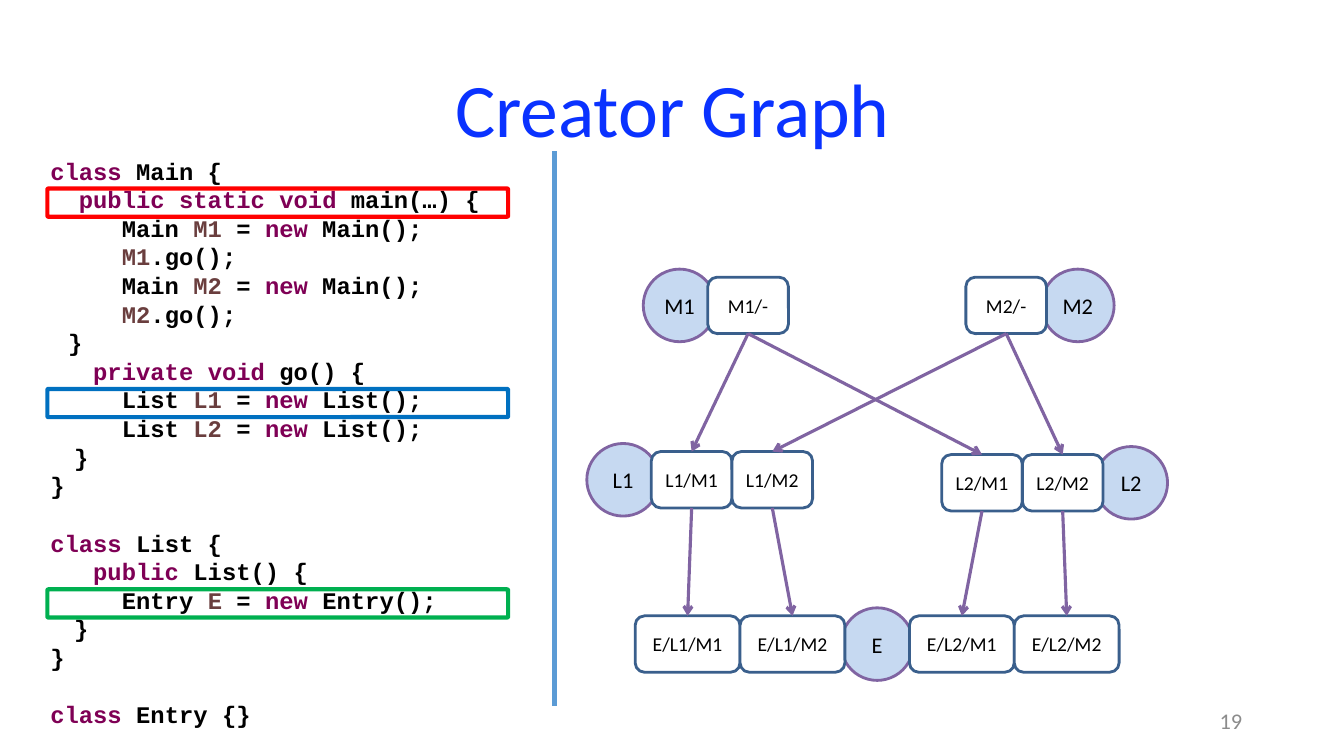
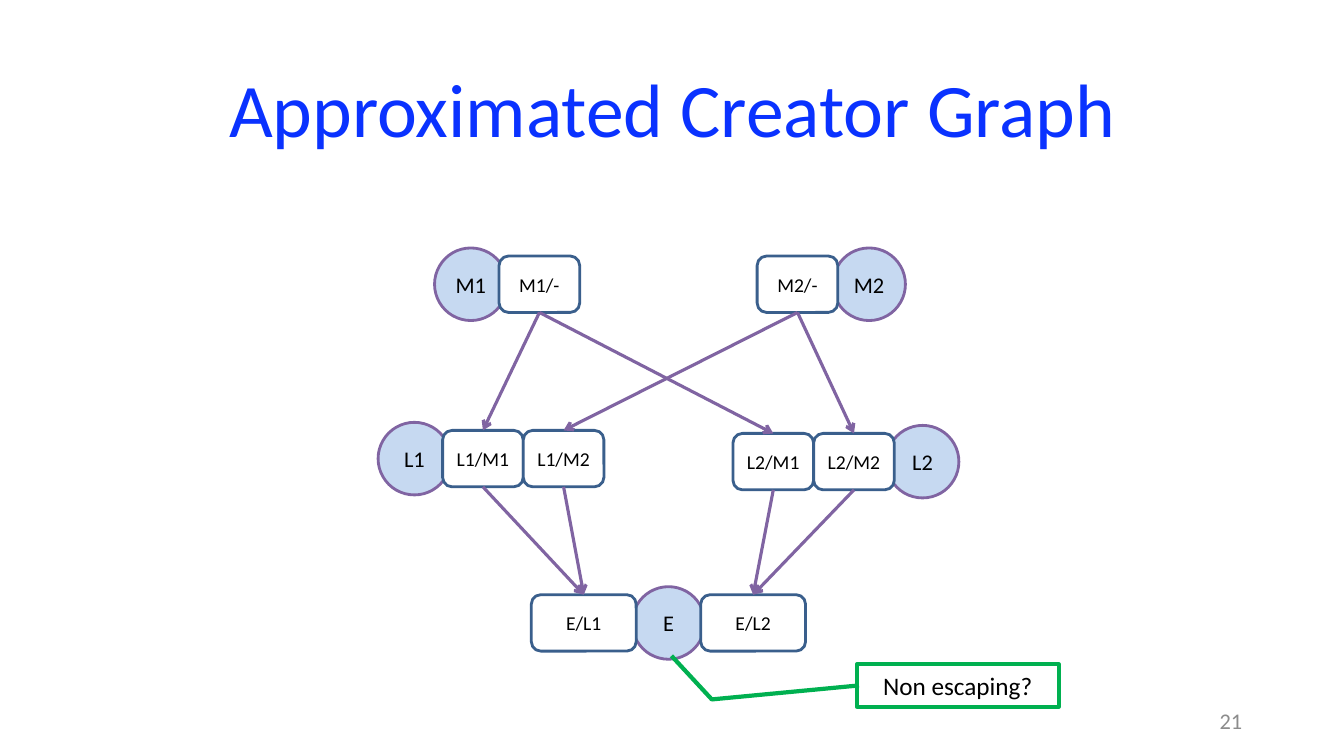
from itertools import groupby

from lxml import etree
from pptx import Presentation
from pptx.dml.color import RGBColor
from pptx.enum import shapes, text
from pptx.oxml import ns
from pptx.util import Inches, Pt

# Shared look
COLORS = {
    "title": "0A32FF", "number": "8C8C8C", "black": "000000", "white": "FFFFFF",
    "divider": "5B9BD5", "object": "C6D9F1", "edge": "8064A2", "context": "3A5F8C",
    "keyword": "7F0055", "variable": "6A3E3E",
    "red": "FF0000", "blue": "0070C0", "green": "00B050",
}
SHAPE, ALIGN, ANCHOR = shapes.MSO_SHAPE, text.PP_ALIGN, text.MSO_ANCHOR

# Code listing
CODE = """class Main {
  public static void main(…) {
     Main M1 = new Main();
     M1.go();
     Main M2 = new Main();
     M2.go();
   }
   private void go() {
     List L1 = new List();
     List L2 = new List();
    }
}

class List {
   public List() {
     Entry E = new Entry();
    }
}

class Entry {}""".split("\n")
WORD_COLORS = {w: "keyword" for w in "class public static void private new".split()}
WORD_COLORS.update({w: "variable" for w in "M1 M2 L1 L2 E".split()})
CODE_PITCH = 20.45  # points from line to line
HIGHLIGHTS = {1: "red", 8: "blue", 15: "green"}  # code line: colour

# Graph: object, left, top, side of its contexts (1 = right), overlap, contexts
OBJECTS = [
    ("M1", 0.56, 0, 1, 0.08, ["M1/-"]),
    ("M2", 4.51, 0, -1, 0.05, ["M2/-"]),
    ("L1", 0, 1.73, 1, 0.08, ["L1/M1", "L1/M2"]),
    ("L2", 5.04, 1.76, -1, 0.08, ["L2/M1", "L2/M2"]),
]
ENTRY = ("E", 2.52, 3.36)
ENTRY_OVERLAP = 0.04
CALLS = [("M1/-", "L1/M1"), ("M2/-", "L2/M2"), ("M2/-", "L1/M2"), ("M1/-", "L2/M1")]
LISTS = ["L1/M2", "L1/M1", "L2/M2", "L2/M1"]
DIAMETER, BOX_H, BOX_W, WIDE_BOX_W = 0.72, 0.56, 0.8, 1.04

SLIDES = [
    dict(title="Creator Graph", number="19", origin=(5.82, 2.67), depth=2, code=True),
    dict(title="Approximated Creator Graph", number="21", origin=(3.75, 2.46), depth=1,
         callout="Non escaping?"),
]


def rgb(name):
    return RGBColor.from_string(COLORS[name])


def inches(*values):
    return [Inches(v) for v in values]


def add_run(p, words, size, color="black", font="Calibri", bold=False):
    r = p.add_run()
    r.text = words
    r.font.size, r.font.name, r.font.bold = Pt(size), font, bold
    r.font.color.rgb = rgb(color)


def write(sp, words, size, color="black", align=ALIGN.CENTER, spacing=1.0):
    tf = sp.text_frame
    tf.word_wrap = True
    tf.vertical_anchor = ANCHOR.MIDDLE
    p = tf.paragraphs[0]
    p.alignment, p.line_spacing = align, spacing
    add_run(p, words, size, color)


def add_label(slide, words, at, size, **kw):
    write(slide.shapes.add_textbox(*inches(*at)), words, size, **kw)


def add_box(slide, kind, at, line, width, fill=None, words=None, size=14):
    sp = slide.shapes.add_shape(kind, *inches(*at))
    sp.shadow.inherit = False
    if fill:
        sp.fill.solid()
        sp.fill.fore_color.rgb = rgb(fill)
    else:
        sp.fill.background()
    sp.line.color.rgb, sp.line.width = rgb(line), Pt(width)
    if words:
        tf = sp.text_frame
        tf.margin_left = tf.margin_right = tf.margin_top = tf.margin_bottom = 0
        write(sp, words, size)
    return sp


def add_line(slide, color, width, ends=(0, 0, 0, 0), arrow=False):
    cn = slide.shapes.add_connector(shapes.MSO_CONNECTOR.STRAIGHT, *inches(*ends))
    cn.line.color.rgb, cn.line.width = rgb(color), Pt(width)
    if arrow:
        ln = cn.line._get_or_add_ln()
        etree.SubElement(ln, ns.qn("a:tailEnd"), type="arrow")
    etree.SubElement(cn._element.spPr, ns.qn("a:effectLst"))
    return cn


def add_code(slide):
    tf = slide.shapes.add_textbox(*inches(0.4, 1.37, 5.52, 5.97)).text_frame
    tf.word_wrap = True
    tf.margin_top = Inches(0.18)
    p, gap = tf.paragraphs[0], 0
    for i, line in enumerate(CODE):
        if not line:
            gap += CODE_PITCH
            continue
        if i:
            p = tf.add_paragraph()
        p.line_spacing, p.space_before = Pt(CODE_PITCH), Pt(gap)
        gap = 0
        closing = line.strip() == "}"
        for _, chars in groupby(line, key=lambda c: (c.isalnum(), c.isspace())):
            word = "".join(chars)
            # Closing braces have a narrower indent
            font = "Times New Roman" if closing and word.isspace() else "Courier New"
            add_run(p, word, 17, WORD_COLORS.get(word, "black"), font, bold=True)
    # Each highlight fits between the neighbouring code lines
    for row, color in HIGHLIGHTS.items():
        at = (0.47, 1.87 + (row - 1) * CODE_PITCH / 72, 4.57, 0.28)
        add_box(slide, SHAPE.ROUNDED_RECTANGLE, at, color, 3).adjustments[0] = 0.04
    add_line(slide, "divider", 3, (5.5, 1.5, 5.5, 7))


def add_graph(slide, origin, depth):
    x0, y0 = origin
    boxes = {}

    def add_object(name, x, y):
        add_box(slide, SHAPE.OVAL, (x0 + x, y0 + y, DIAMETER, DIAMETER), "edge", 2,
                "object", name, 16)

    def add_contexts(x, y, side, overlap, names, w):
        left = x + DIAMETER - overlap if side > 0 else x + overlap - w * len(names)
        top = y0 + y + (DIAMETER - BOX_H) / 2
        for i, name in enumerate(names):
            boxes[name] = add_box(slide, SHAPE.ROUNDED_RECTANGLE,
                                  (x0 + left + i * w, top, w, BOX_H),
                                  "context", 2, "white", name)

    def entry_of(name):
        return "/".join(["E"] + name.split("/")[:depth])

    for name, x, y, side, overlap, contexts in OBJECTS:
        add_object(name, x, y)
        add_contexts(x, y, side, overlap, contexts, BOX_W)

    # Entry contexts sit on both sides; depth says how many creators they keep
    add_object(*ENTRY)
    for side, owner in ((1, "L2"), (-1, "L1")):
        names = sorted({entry_of(n) for n in LISTS if n.startswith(owner)})
        add_contexts(*ENTRY[1:], side, ENTRY_OVERLAP, names, WIDE_BOX_W)

    for start, end in CALLS + [(n, entry_of(n)) for n in LISTS]:
        cn = add_line(slide, "edge", 2.25, arrow=True)
        cn.begin_connect(boxes[start], 2)
        cn.end_connect(boxes[end], 0)


def add_callout(slide, words):
    sp = add_box(slide, SHAPE.LINE_CALLOUT_2, (8.5, 6.59, 2, 0.42), "green", 3,
                 words=words, size=18)
    for i, value in enumerate((0.5, 0.01, 0.83, -0.72, -0.2, -0.92)):
        sp.adjustments[i] = value


def main():
    prs = Presentation()
    prs.slide_width, prs.slide_height = inches(13.33, 7.5)
    for page in SLIDES:
        slide = prs.slides.add_slide(prs.slide_layouts[6])
        add_label(slide, page["number"], (9.42, 6.95, 3, 0.4), 16,
                  color="number", align=ALIGN.RIGHT)
        add_label(slide, page["title"], (0.92, 0.4, 11.5, 1.45), 54,
                  color="title", spacing=0.9)
        add_graph(slide, page["origin"], page["depth"])
        if page.get("code"):
            add_code(slide)
        if page.get("callout"):
            add_callout(slide, page["callout"])
    prs.save("out.pptx")


if __name__ == "__main__":
    main()
